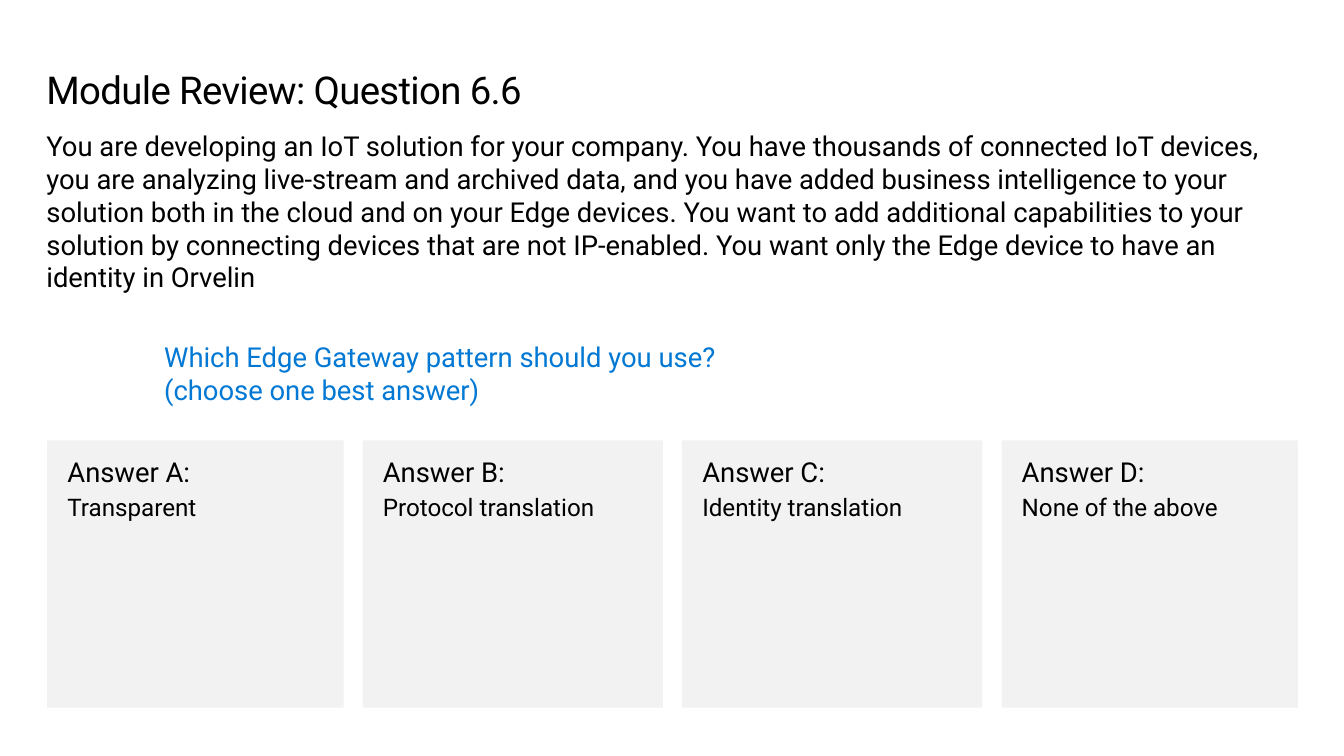
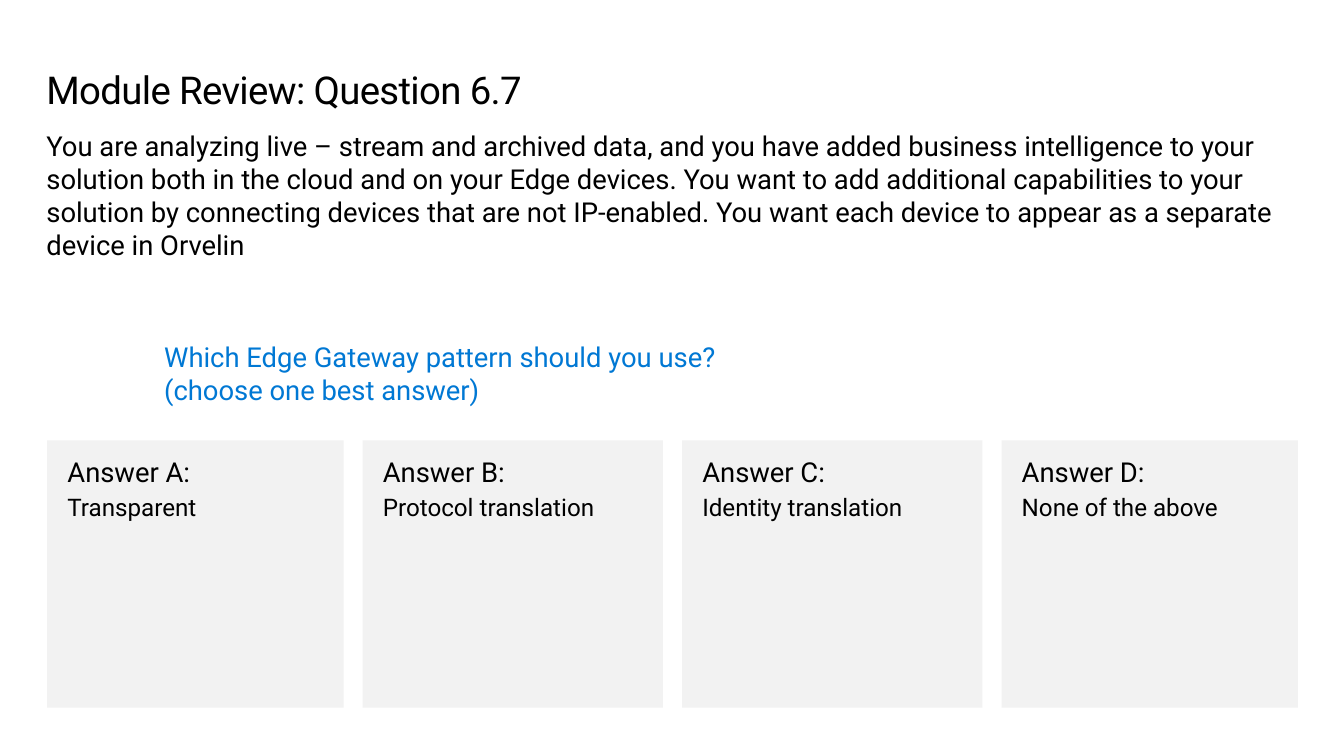
from pptx import Presentation
from pptx import util as u
from pptx.dml.color import RGBColor
from pptx.enum import shapes, text

COLORS = {"ink": "000000", "accent": "0078D4", "card": "F2F2F2"}
FONT = "Roboto"
TITLE_PT, BODY_PT, ANSWER_PT = 27.4, 19.6, 17.3
LEFT, WIDTH = 1.17, 31.53
BODY_LINE = 0.84
CARD_WIDTHS, CARD_GAP = (7.47, 7.57, 7.57, 7.47), 0.48

PROMPT = ("Which Edge Gateway pattern should you use?", "(choose one best answer)")
ANSWERS = ("Transparent", "Protocol translation", "Identity translation",
           "None of the above")
# (number, scenario, lines the scenario fills)
QUESTIONS = (
    ("6.6",
     "You are developing an IoT solution for your company. You have thousands of "
     "connected IoT devices, you are analyzing live-stream and archived data, and "
     "you have added business intelligence to your solution both in the cloud and "
     "on your Edge devices. You want to add additional capabilities to your "
     "solution by connecting devices that are not IP-enabled. You want only the "
     "Edge device to have an identity in Orvelin", 5),
    ("6.7",
     "You are analyzing live – stream and archived data, and you have added "
     "business intelligence to your solution both in the cloud and on your Edge "
     "devices. You want to add additional capabilities to your solution by "
     "connecting devices that are not IP-enabled. You want each device to appear "
     "as a separate device in Orvelin", 4),
)


def rgb(name):
    return RGBColor.from_string(COLORS[name])


def add_run(p, words, size, color="ink"):
    r = p.add_run()
    r.text = words
    r.font.name = FONT
    r.font.size = u.Pt(size)
    r.font.color.rgb = rgb(color)
    return r


def set_frame(tf, anchor, inset_x=0, inset_y=0):
    tf.word_wrap = True
    tf.vertical_anchor = anchor
    tf.margin_left = tf.margin_right = u.Cm(inset_x)
    tf.margin_top = tf.margin_bottom = u.Cm(inset_y)


def add_text(s, box, lines, size, color="ink", anchor=text.MSO_ANCHOR.TOP):
    """Add one paragraph, with line breaks between the given lines."""
    tf = s.shapes.add_textbox(*map(u.Cm, box)).text_frame
    set_frame(tf, anchor)
    tf.auto_size = text.MSO_AUTO_SIZE.SHAPE_TO_FIT_TEXT
    p = tf.paragraphs[0]
    for i, line in enumerate(lines):
        if i:
            p.add_line_break()
        add_run(p, line, size, color)
    return p


def add_title(s, box, words):
    p = add_text(s, box, [words], TITLE_PT)
    p.line_spacing = u.Pt(31.4)
    p.runs[0].font._element.set("spc", "-45")


def add_card(s, box, letter, answer):
    sp = s.shapes.add_shape(shapes.MSO_SHAPE.RECTANGLE, *map(u.Cm, box))
    sp.shadow.inherit = False
    sp.fill.solid()
    sp.fill.fore_color.rgb = rgb("card")
    sp.line.fill.background()
    tf = sp.text_frame
    set_frame(tf, text.MSO_ANCHOR.TOP, 0.51, 0.38)
    rows = ((f"Answer {letter}:", BODY_PT), (answer, ANSWER_PT))
    for i, (words, size) in enumerate(rows):
        p = tf.add_paragraph() if i else tf.paragraphs[0]
        p.alignment = text.PP_ALIGN.LEFT
        p.space_before = u.Pt(2.9)
        add_run(p, words, size)


def add_cards(s, left, top, height):
    for letter, answer, width in zip("ABCD", ANSWERS, CARD_WIDTHS):
        add_card(s, (left, top, width, height), letter, answer)
        left += width + CARD_GAP


def add_question(prs, number, scenario, line_count):
    s = prs.slides.add_slide(prs.slide_layouts[6])
    add_title(s, (LEFT, 1.73, WIDTH, 1.12), f"Module Review: Question {number}")
    add_text(s, (LEFT, 3.25, WIDTH, line_count * BODY_LINE), [scenario], BODY_PT)
    add_text(s, (4.14, 8.56, 28.58, len(PROMPT) * BODY_LINE), PROMPT, BODY_PT,
             "accent", text.MSO_ANCHOR.MIDDLE)
    add_cards(s, 1.19, 11.1, 6.73)


def main():
    prs = Presentation()
    prs.slide_width, prs.slide_height = u.Cm(33.87), u.Cm(19.05)
    for question in QUESTIONS:
        add_question(prs, *question)
    prs.save("out.pptx")


if __name__ == "__main__":
    main()
